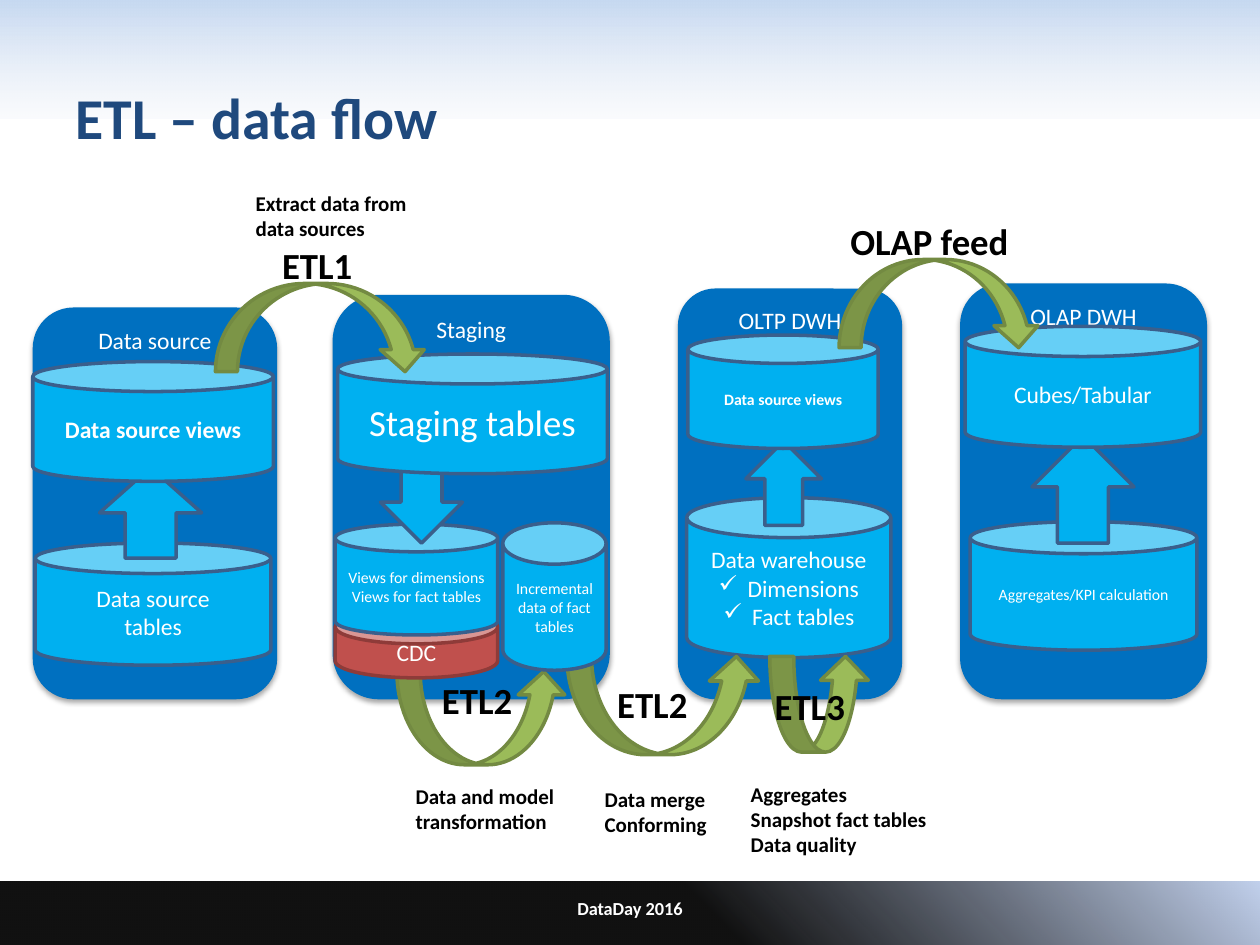
from lxml import etree
from pptx import Presentation
from pptx.dml.color import RGBColor
from pptx.enum.shapes import MSO_SHAPE
from pptx.enum.text import MSO_ANCHOR, PP_ALIGN
from pptx.oxml.ns import qn
from pptx.util import Pt

PX = 9144
FONT = "Calibri"
CHECK = "✓"

WHITE = RGBColor(0xFF, 0xFF, 0xFF)
BLACK = RGBColor(0x00, 0x00, 0x00)
NAVY = RGBColor(0x1F, 0x49, 0x7D)
PANEL_BLUE = RGBColor(0x00, 0x70, 0xC0)
SKY = RGBColor(0x00, 0xB0, 0xF0)
SKY_EDGE = RGBColor(0x3A, 0x5F, 0x8C)
RED = RGBColor(0xC0, 0x50, 0x4D)
RED_EDGE = RGBColor(0x8E, 0x3B, 0x39)
GREEN = RGBColor(0x9B, 0xBB, 0x59)
GREEN_EDGE = RGBColor(0x73, 0x8A, 0x42)
BAND_BLUE = RGBColor(0xC6, 0xD9, 0xF1)
BAND_PALE = RGBColor(0xE1, 0xE8, 0xF5)
FOOTER_BLUE = RGBColor(0xC2, 0xD1, 0xED)

RECT = MSO_SHAPE.RECTANGLE
CENTER, LEFT = PP_ALIGN.CENTER, PP_ALIGN.LEFT
TOP, MIDDLE = MSO_ANCHOR.TOP, MSO_ANCHOR.MIDDLE

STYLES = {
    "panel": (MSO_SHAPE.ROUNDED_RECTANGLE, PANEL_BLUE, None),
    "can": (MSO_SHAPE.CAN, SKY, SKY_EDGE),
    "red_can": (MSO_SHAPE.CAN, RED, RED_EDGE),
    "up": (MSO_SHAPE.UP_ARROW, SKY, SKY_EDGE),
    "curve_up": (MSO_SHAPE.CURVED_UP_ARROW, GREEN, GREEN_EDGE),
    "curve_down": (MSO_SHAPE.CURVED_DOWN_ARROW, GREEN, GREEN_EDGE),
}

BANDS = [
    ((0, 0, 1000, 94), 90, [(0, BAND_BLUE, 100), (100, BAND_PALE, 16)]),
    ((0, 700, 1000, 51), 315, [(56, BLACK, 93), (100, FOOTER_BLUE, 100)]),
]

FOOTER = ("label", (279, 700, 442, 42), ["DataDay 2016"],
          {"size": 10.5, "color": WHITE, "align": CENTER, "anchor": MIDDLE})

ITEMS = [
    ("panel", (538, 229, 178, 326), ["OLTP DWH"], {}),
    ("panel", (264, 234, 220, 321), ["Staging"], {}),
    ("panel", (26, 244, 194, 311), ["Data source"], {}),
    ("can", (28, 431, 187, 97), ["Data source", "tables"], {}),
    ("up", (79, 371, 81, 72), [], {}),
    ("can", (26, 287, 191, 95), ["Data source views"], {"bold": True}),
    ("label", (214, 188, 76, 45), ["ETL1"], {"size": 21}),
    ("can", (545, 395, 162, 127),
     ["Data warehouse", CHECK + "Dimensions", CHECK + "Fact tables"], {}),
    ("panel", (762, 225, 196, 330), ["OLAP DWH"], {}),
    ("can", (770, 414, 180, 102), ["Aggregates/KPI calculation"], {"size": 9}),
    ("up", (819, 346, 81, 85), [], {}),
    ("can", (766, 259, 187, 96), ["Cubes/Tabular"], {}),
    ("label", (665, 169, 158, 45), ["OLAP feed"], {"size": 21}),
    ("curve_up", (315, 533, 135, 74), [], {}),
    ("curve_up", (450, 521, 154, 78), [], {}),
    ("label", (320, 617, 135, 50), ["Data and model", "transformation"], {}),
    ("red_can", (266, 484, 129, 54), ["CDC"], {"adj": 0.5}),
    ("can", (266, 416, 129, 88),
     ["Views for dimensions", "Views for fact tables"], {"size": 9}),
    ("up", (302, 361, 65, 70), [], {"rotation": 180}),
    ("can", (399, 415, 82, 117), ["Incremental data of fact tables"],
     {"size": 9, "adj": 0.4}),
    ("label", (470, 619, 102, 50), ["Data merge", "Conforming"], {}),
    ("label", (341, 533, 76, 45), ["ETL2"], {"size": 21}),
    ("curve_up", (611, 521, 79, 76), [], {}),
    ("label", (480, 536, 76, 45), ["ETL2"], {"size": 21}),
    ("label", (605, 538, 76, 45), ["ETL3"], {"size": 21}),
    ("label", (586, 615, 166, 71),
     ["Aggregates", "Snapshot fact tables", "Data quality"], {}),
    ("up", (592, 350, 60, 67), [], {}),
    ("can", (546, 266, 151, 90), ["Data source views"],
     {"size": 9, "bold": True}),
    ("can", (268, 281, 214, 95), ["Staging tables"], {"size": 21}),
    ("curve_down", (666, 206, 160, 70), [], {}),
    ("label", (50, 30, 900, 125), ["ETL – data flow"],
     {"size": 33, "color": NAVY, "anchor": MIDDLE}),
    ("curve_down", (171, 225, 168, 70), [], {}),
    ("label", (193, 146, 141, 50), ["Extract data from", "data sources"], {}),
]


def emu(box):
    return [v * PX for v in box]


def add_color(parent, color, alpha):
    clr = etree.SubElement(parent, qn("a:srgbClr"), val=str(color))
    if alpha < 100:
        etree.SubElement(clr, qn("a:alpha"), val=str(alpha * 1000))


def add_band(shapes, box, angle, stops):
    sp = shapes.add_shape(RECT, *emu(box))
    sp.shadow.inherit = False
    sp.line.fill.background()
    sp.fill.gradient()
    grad = sp._element.spPr.find(qn("a:gradFill"))
    for child in list(grad):
        grad.remove(child)
    gs_lst = etree.SubElement(grad, qn("a:gsLst"))
    for pos, color, alpha in stops:
        gs = etree.SubElement(gs_lst, qn("a:gs"), pos=str(pos * 1000))
        add_color(gs, color, alpha)
    etree.SubElement(grad, qn("a:lin"), ang=str(angle * 60000), scaled="0")


def add_shadow(sp):
    effects = sp._element.spPr.find(qn("a:effectLst"))
    shadow = etree.SubElement(
        effects, qn("a:outerShdw"), blurRad=str(Pt(3.1)), dist=str(Pt(1.8)),
        dir="5400000", rotWithShape="0")
    add_color(shadow, BLACK, 35)


def add_bullet(p):
    pPr = p._p.get_or_add_pPr()
    pPr.set("marL", str(23 * PX))
    pPr.set("indent", str(-23 * PX))
    bullet = etree.Element(qn("a:buChar"), char=CHECK)
    pPr.insert(0, bullet)


def write(tf, lines, size, color, bold, align, anchor):
    tf.vertical_anchor = anchor
    for i, line in enumerate(lines):
        p = tf.paragraphs[0] if i == 0 else tf.add_paragraph()
        p.text = line.removeprefix(CHECK)
        p.alignment = align
        p.font.name = FONT
        p.font.size = Pt(size)
        p.font.bold = bold
        p.font.color.rgb = color
        if line.startswith(CHECK):
            add_bullet(p)


def add_label(shapes, box, lines, size=12, color=BLACK, align=LEFT, anchor=TOP):
    tf = shapes.add_textbox(*emu(box)).text_frame
    tf.word_wrap = True
    write(tf, lines, size, color, True, align, anchor)


def add_figure(shapes, kind, box, lines, size=13.5, bold=False, adj=None,
               rotation=0):
    preset, fill, edge = STYLES[kind]
    sp = shapes.add_shape(preset, *emu(box))
    sp.shadow.inherit = False
    sp.rotation = rotation
    if adj is not None:
        sp.adjustments[0] = adj
    sp.fill.solid()
    sp.fill.fore_color.rgb = fill
    if edge is None:
        sp.line.fill.background()
        add_shadow(sp)
    else:
        sp.line.color.rgb = edge
        sp.line.width = Pt(2)
    anchor = TOP if kind == "panel" else MIDDLE
    write(sp.text_frame, lines, size, WHITE, bold, CENTER, anchor)


def main():
    prs = Presentation()
    prs.slide_width, prs.slide_height = 1000 * PX, 750 * PX
    shapes = prs.slides.add_slide(prs.slide_layouts[6]).shapes
    for band in BANDS:
        add_band(shapes, *band)
    for kind, box, lines, options in [FOOTER] + ITEMS:
        if kind == "label":
            add_label(shapes, box, lines, **options)
        else:
            add_figure(shapes, kind, box, lines, **options)
    prs.save("out.pptx")


if __name__ == "__main__":
    main()
